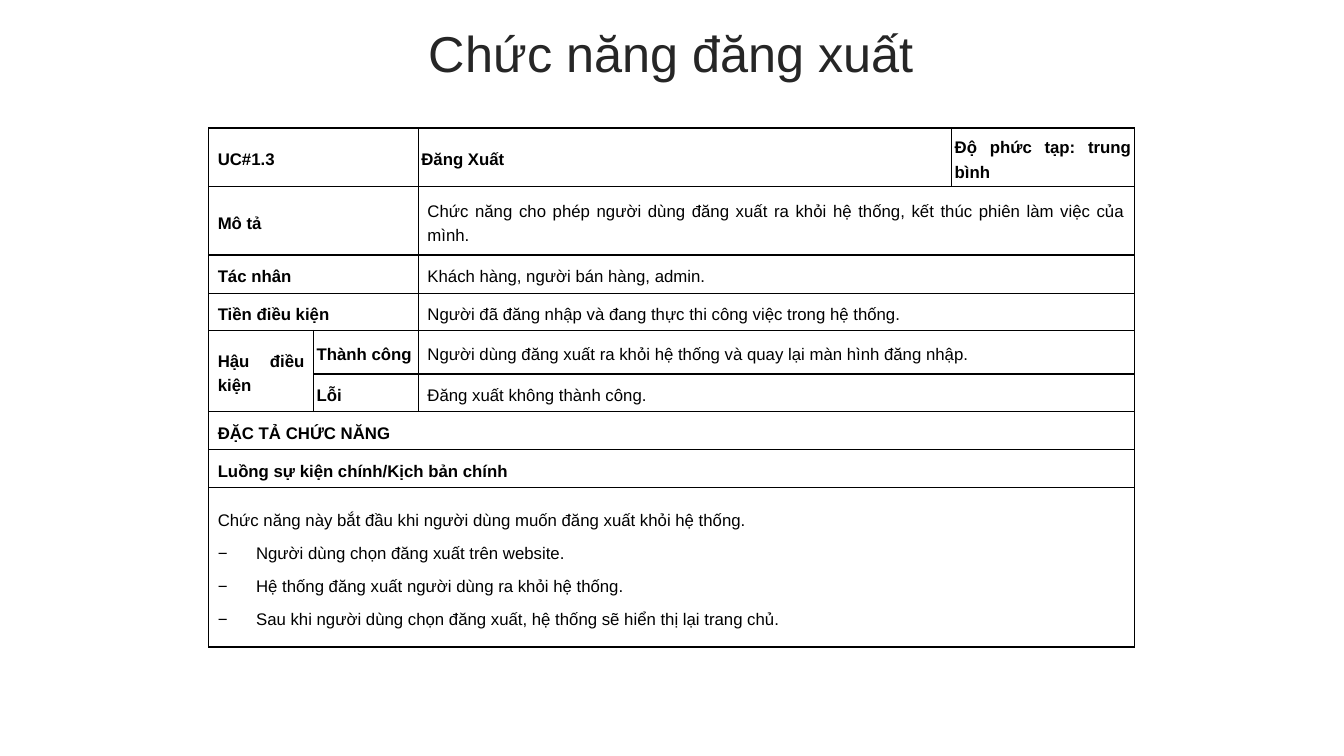
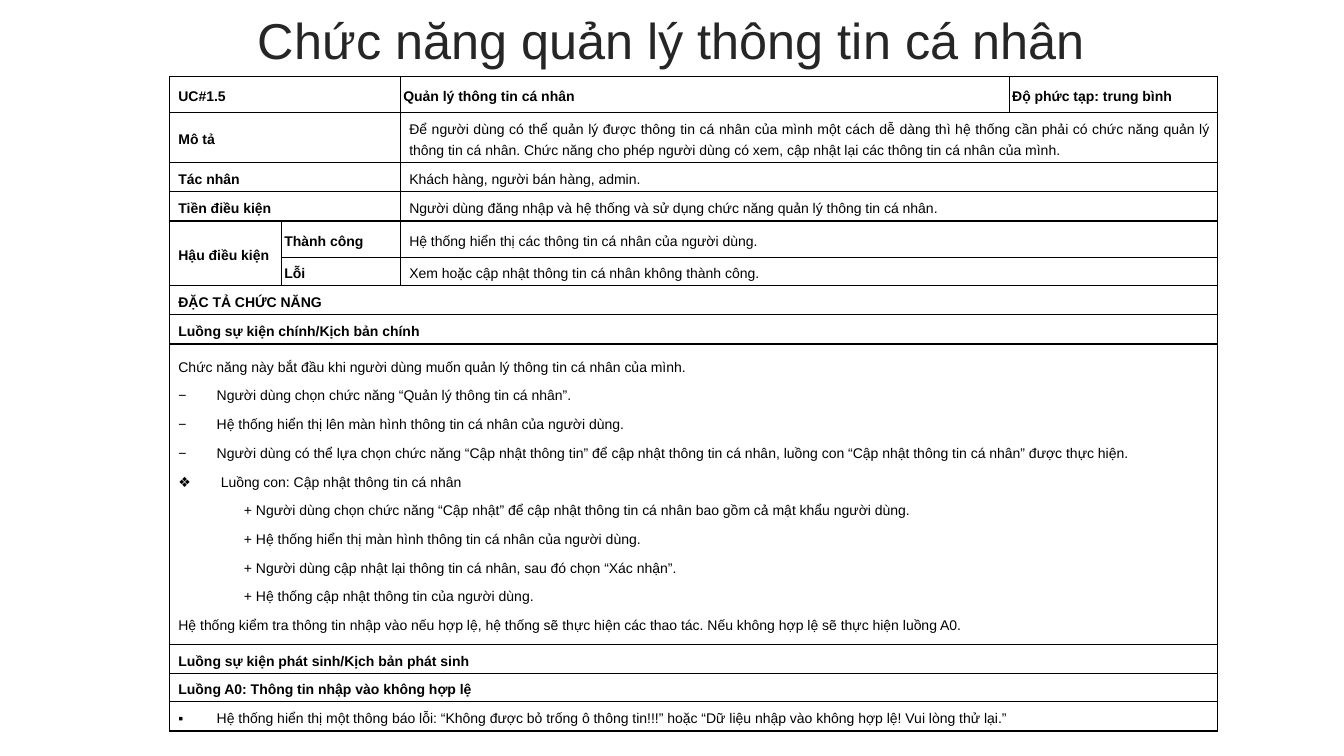
from dataclasses import dataclass

from lxml.etree import SubElement
from pptx import Presentation
from pptx.dml.color import RGBColor
from pptx.enum.text import MSO_ANCHOR, PP_ALIGN
from pptx.oxml import parse_xml
from pptx.oxml.ns import nsdecls, qn
from pptx.util import Inches, Pt

FONT = "Arial"
TITLE_COLOR = "262626"
TEXT_COLOR = "000000"
BORDER_COLOR = "000000"
WIDE_INSETS = (0.09, 0.03)
NARROW_INSETS = (0.03, 0)
ACTORS = "Khách hàng, người bán hàng, admin."
COMPLEXITY = "Độ phức tạp: trung bình"


@dataclass
class Line:
    """One line of a flow, with its indent and bullet."""

    text: str
    indent: float = 0
    bullet: str = ""


@dataclass
class UseCase:
    """The wording of one use case."""

    code: str
    name: str
    description: str
    precondition: str
    success: str
    failure: str
    sections: list


def color(value):
    """Turn a hex string into a colour."""
    return RGBColor.from_string(value)


def write(paragraph, text, size, hue, bold=False, align=PP_ALIGN.JUSTIFY,
          spacing=1.3, before=3, after=3):
    """Put formatted text into a paragraph."""
    paragraph.alignment = align
    paragraph.line_spacing = spacing
    paragraph.space_before = Pt(before)
    paragraph.space_after = Pt(after)
    run = paragraph.add_run()
    run.text = text
    run.font.name = FONT
    run.font.size = Pt(size)
    run.font.bold = bold
    run.font.color.rgb = color(hue)


def indent_line(paragraph, line):
    """Indent a paragraph and hang its bullet in the indent."""
    properties = paragraph._p.get_or_add_pPr()
    properties.set("marL", str(Inches(line.indent)))
    if line.bullet:
        properties.set("indent", str(-Inches(line.indent)))
        SubElement(properties, qn("a:buFont"), typeface=FONT)
        SubElement(properties, qn("a:buChar"), char=line.bullet)


def add_title(slide, text, top):
    """Add the centred slide title."""
    box = slide.shapes.add_textbox(Inches(0.33), Inches(top), Inches(12.66), Inches(0.79))
    frame = box.text_frame
    frame.word_wrap = True
    frame.vertical_anchor = MSO_ANCHOR.MIDDLE
    write(frame.paragraphs[0], text, 36, TITLE_COLOR, align=PP_ALIGN.CENTER,
          spacing=0.9, before=10, after=0)


def set_borders(cell):
    """Draw a thin line on the four sides of a cell."""
    properties = cell._tc.get_or_add_tcPr()
    for position, side in enumerate(("lnL", "lnR", "lnT", "lnB")):
        border = parse_xml(
            f'<a:{side} {nsdecls("a")} w="{Pt(1)}"><a:solidFill>'
            f'<a:srgbClr val="{BORDER_COLOR}"/></a:solidFill></a:{side}>')
        properties.insert(position, border)


def fill_cell(cell, lines, size, bold=False, insets=WIDE_INSETS):
    """Write the lines of one cell."""
    side, edge = (Inches(inset) for inset in insets)
    cell.margin_left = cell.margin_right = side
    cell.margin_top = cell.margin_bottom = edge
    cell.vertical_anchor = MSO_ANCHOR.MIDDLE
    frame = cell.text_frame
    for index, line in enumerate(lines):
        paragraph = frame.add_paragraph() if index else frame.paragraphs[0]
        write(paragraph, line.text, size, TEXT_COLOR, bold=bold)
        if line.indent:
            indent_line(paragraph, line)


def add_grid(slide, left, top, widths, heights):
    """Add an empty bordered table."""
    frame = slide.shapes.add_table(len(heights), len(widths), Inches(left), Inches(top),
                                   Inches(sum(widths)), Inches(sum(heights)))
    table = frame.table
    table.first_row = table.horz_banding = False
    for column, width in zip(table.columns, widths):
        column.width = Inches(width)
    for row, height in zip(table.rows, heights):
        row.height = Inches(height)
    for cell in table.iter_cells():
        cell.fill.background()
        set_borders(cell)
    return table


def fill_use_case(table, case, size):
    """Merge and fill the cells of a use case table."""

    def put(row, column, content, last_row=None, last_column=None, **style):
        cell = table.cell(row, column)
        end_row, end_column = last_row or row, last_column or column
        if (end_row, end_column) != (row, column):
            cell.merge(table.cell(end_row, end_column))
        lines = [Line(content)] if isinstance(content, str) else content
        fill_cell(cell, lines, size, **style)

    put(0, 0, case.code, last_column=1, bold=True)
    put(0, 2, case.name, bold=True, insets=NARROW_INSETS)
    put(0, 3, COMPLEXITY, bold=True, insets=NARROW_INSETS)

    fields = [("Mô tả", case.description), ("Tác nhân", ACTORS),
              ("Tiền điều kiện", case.precondition)]
    for row, (label, text) in enumerate(fields, start=1):
        put(row, 0, label, last_column=1, bold=True)
        put(row, 2, text, last_column=3)

    put(4, 0, "Hậu điều kiện", last_row=5, bold=True)
    outcomes = [("Thành công", case.success), ("Lỗi", case.failure)]
    for row, (label, text) in enumerate(outcomes, start=4):
        put(row, 1, label, bold=True, insets=NARROW_INSETS)
        put(row, 2, text, last_column=3)

    sections = ["ĐẶC TẢ CHỨC NĂNG", "Luồng sự kiện chính/Kịch bản chính", *case.sections]
    for row, content in enumerate(sections, start=6):
        put(row, 0, content, last_column=3, bold=isinstance(content, str))


def steps(*texts):
    """Make the dashed steps of a flow."""
    return [Line(text, 0.38, "−") for text in texts]


def substeps(*texts):
    """Make the indented steps of a subflow."""
    return [Line(f"+ {text}", 0.65) for text in texts]


LOGOUT = UseCase(
    code="UC#1.3",
    name="Đăng Xuất",
    description="Chức năng cho phép người dùng đăng xuất ra khỏi hệ thống, "
                "kết thúc phiên làm việc của mình.",
    precondition="Người đã đăng nhập và đang thực thi công việc trong hệ thống.",
    success="Người dùng đăng xuất ra khỏi hệ thống và quay lại màn hình đăng nhập.",
    failure="Đăng xuất không thành công.",
    sections=[[
        Line("Chức năng này bắt đầu khi người dùng muốn đăng xuất khỏi hệ thống."),
        *steps("Người dùng chọn đăng xuất trên website.",
               "Hệ thống đăng xuất người dùng ra khỏi hệ thống.",
               "Sau khi người dùng chọn đăng xuất, hệ thống sẽ hiển thị lại trang chủ."),
    ]],
)

PROFILE = UseCase(
    code="UC#1.5",
    name="Quản lý thông tin cá nhân",
    description="Để người dùng có thể quản lý được thông tin cá nhân của mình một cách dễ dàng "
                "thì hệ thống cần phải có chức năng quản lý thông tin cá nhân. Chức năng cho phép "
                "người dùng có xem, cập nhật lại các thông tin cá nhân của mình.",
    precondition="Người dùng đăng nhập và hệ thống và sử dụng chức năng "
                 "quản lý thông tin cá nhân.",
    success="Hệ thống hiển thị các thông tin cá nhân của người dùng.",
    failure="Xem hoặc cập nhật thông tin cá nhân không thành công.",
    sections=[
        [
            Line("Chức năng này bắt đầu khi người dùng muốn quản lý thông tin cá nhân của mình."),
            *steps("Người dùng chọn chức năng “Quản lý thông tin cá nhân”.",
                   "Hệ thống hiển thị lên màn hình thông tin cá nhân của người dùng.",
                   "Người dùng có thể lựa chọn chức năng “Cập nhật thông tin” để cập nhật "
                   "thông tin cá nhân, luồng con “Cập nhật thông tin cá nhân” được thực hiện."),
            Line("Luồng con: Cập nhật thông tin cá nhân", 0.42, "❖"),
            *substeps("Người dùng chọn chức năng “Cập nhật” để cập nhật thông tin cá nhân "
                      "bao gồm cả mật khẩu người dùng.",
                      "Hệ thống hiển thị màn hình thông tin cá nhân của người dùng.",
                      "Người dùng cập nhật lại thông tin cá nhân, sau đó chọn “Xác nhận”.",
                      "Hệ thống cập nhật thông tin của người dùng."),
            Line("Hệ thống kiểm tra thông tin nhập vào nếu hợp lệ, hệ thống sẽ thực hiện "
                 "các thao tác. Nếu không hợp lệ sẽ thực hiện luồng A0."),
        ],
        "Luồng sự kiện phát sinh/Kịch bản phát sinh",
        "Luồng A0: Thông tin nhập vào không hợp lệ",
        [Line("Hệ thống hiển thị một thông báo lỗi: “Không được bỏ trống ô thông tin!!!” hoặc "
              "“Dữ liệu nhập vào không hợp lệ! Vui lòng thử lại.”", 0.38, "▪")],
    ],
)


def add_use_case_slide(presentation, title, title_top, case, size, left, top, widths, heights):
    """Add a slide with a title and a use case table."""
    slide = presentation.slides.add_slide(presentation.slide_layouts[6])
    add_title(slide, title, title_top)
    fill_use_case(add_grid(slide, left, top, widths, heights), case, size)


def main():
    """Build and save the presentation."""
    presentation = Presentation()
    presentation.slide_width = Inches(13.33)
    presentation.slide_height = Inches(7.5)
    add_use_case_slide(
        presentation, "Chức năng đăng xuất", 0.16, LOGOUT, size=12, left=2.07, top=1.27,
        widths=[1.04, 1.04, 5.29, 1.81],
        heights=[0.58, 0.68, 0.38, 0.37, 0.43, 0.37, 0.38, 0.38, 1.58])
    add_use_case_slide(
        presentation, "Chức năng quản lý thông tin cá nhân", 0.03, PROFILE, size=10,
        left=1.68, top=0.76, widths=[1.11, 1.18, 6.04, 2.07],
        heights=[0.36, 0.38, 0.29, 0.29, 0.36, 0.28, 0.29, 0.29, 0.58, 0.29, 0.28, 0.29])
    presentation.save("out.pptx")


if __name__ == "__main__":
    main()
